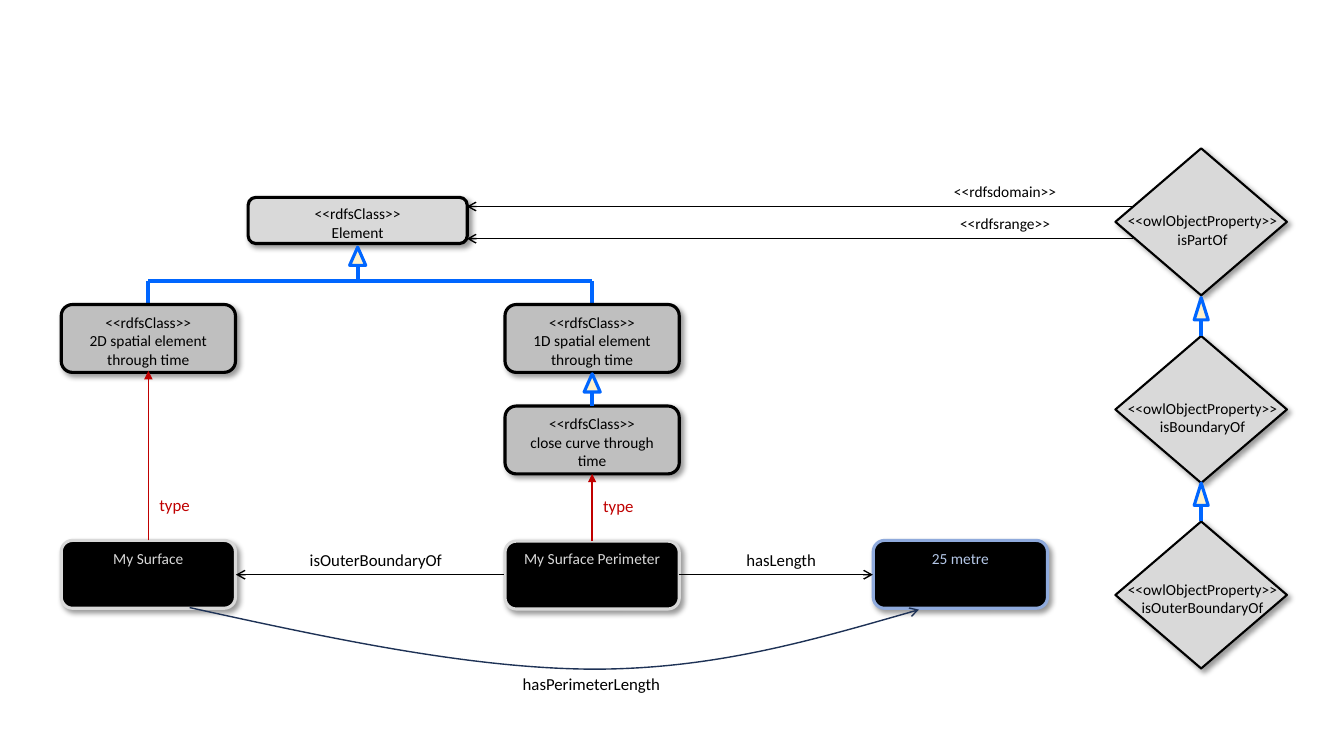
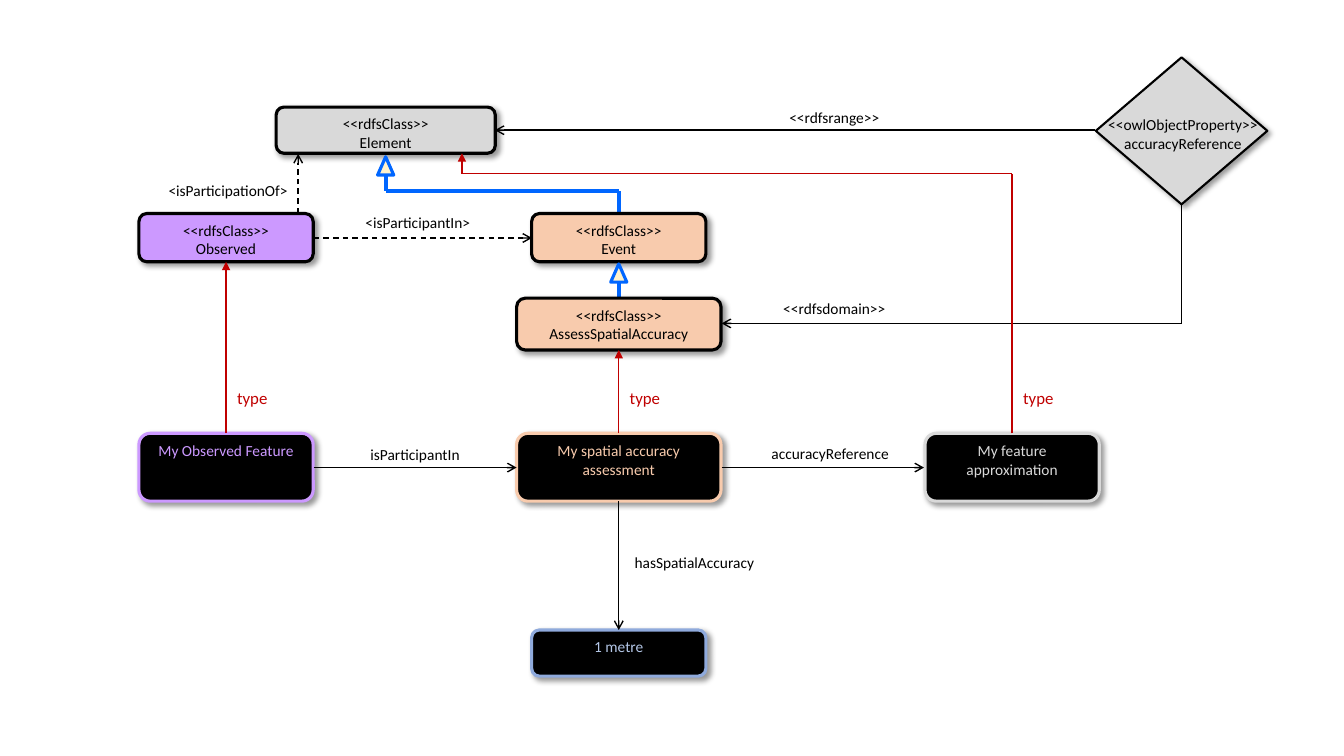
from lxml.etree import SubElement
from pptx import Presentation
from pptx.dml.color import RGBColor
from pptx.enum.dml import MSO_LINE
from pptx.enum.shapes import MSO_CONNECTOR, MSO_SHAPE as Shape
from pptx.enum.text import MSO_ANCHOR as Anchor, MSO_AUTO_SIZE as AutoSize, PP_ALIGN as Align
from pptx.oxml.ns import qn
from pptx.util import Pt

BLACK, LIGHT, MIDDLE = "000000", "D9D9D9", "BFBFBF"
BLUE, CREAM, RED, NAVY = "0066FF", "FFF2CC", "C00000", "1E3256"
PURPLE, PEACH, VALUE_LINE, VALUE_TEXT = "CC99FF", "F8CBAD", "8FAADC", "B4C7E7"
CLASS, PROPERTY = "<<rdfsClass>>", "<<owlObjectProperty>>"


def rgb(color):
    return RGBColor.from_string(color)


class Diagram:
    """Style and current slide; x is always the centre of an element."""
    font_format = {"name": "Calibri", "bold": False}
    node_width = 124.5
    node_height = 48.5

    def __init__(self):
        self.presentation = Presentation()
        self.presentation.slide_width, self.presentation.slide_height = Pt(960), Pt(540)

    def new_slide(self):
        self.slide = self.presentation.slides.add_slide(self.presentation.slide_layouts[6])
        self.shapes = self.slide.shapes

    def add_lines(self, frame, lines, color, size, align=Align.CENTER):
        for number, line in enumerate(lines):
            paragraph = frame.add_paragraph() if number else frame.paragraphs[0]
            paragraph.alignment = align
            run = paragraph.add_run()
            run.text = line
            for name, value in {**self.font_format, "size": Pt(size)}.items():
                setattr(run.font, name, value)
            run.font.color.rgb = rgb(color)

    def outline(self, shape, color, width, arrow=None, dash=None):
        shape.line.color.rgb = rgb(color)
        shape.line.width = Pt(width)
        if dash:
            shape.line.dash_style = dash
        if arrow:
            line = shape._element.spPr.find(qn("a:ln"))
            SubElement(line, qn("a:tailEnd"), type=arrow)

    def figure(self, kind, x, top, width, height, fill, line, weight, shadow=True, shapes=None):
        shape = (shapes or self.shapes).add_shape(
            kind, Pt(x - width / 2), Pt(top), Pt(width), Pt(height))
        shape.fill.solid()
        shape.fill.fore_color.rgb = rgb(fill)
        self.outline(shape, line, weight)
        shape.shadow.inherit = False
        if shadow:
            effects = shape._element.spPr.find(qn("a:effectLst"))
            outer = SubElement(effects, qn("a:outerShdw"), blurRad=str(Pt(4)), dist=str(Pt(3)),
                               dir="2700000", algn="tl", rotWithShape="0")
            tint = SubElement(outer, qn("a:srgbClr"), val=BLACK)
            SubElement(tint, qn("a:alpha"), val="40000")
        return shape

    def node(self, x, top, lines, fill=BLACK, line=BLACK, color=BLACK, width=None, height=None):
        shape = self.figure(Shape.ROUNDED_RECTANGLE, x, top, width or self.node_width,
                            height or self.node_height, fill, line, 2.25)
        shape.text_frame.word_wrap = True
        shape.text_frame.vertical_anchor = Anchor.TOP
        self.add_lines(shape.text_frame, lines, color, 11)

    def instance(self, x, top, text, line, color=None, **extent):
        self.node(x, top, [text], line=line, color=color or line, **extent)

    def label(self, x, top, width, *lines, size=11, color=BLACK, align=Align.CENTER, shapes=None):
        height = 7.2 + 1.22 * size * len(lines)
        box = (shapes or self.shapes).add_textbox(
            Pt(x - width / 2), Pt(top), Pt(width), Pt(round(height, 1)))
        box.text_frame.word_wrap = False
        box.text_frame.auto_size = AutoSize.SHAPE_TO_FIT_TEXT
        self.add_lines(box.text_frame, lines, color, size, align)

    def link(self, x1, y1, x2, y2, color=BLACK, width=1, arrow=None, dash=None):
        connector = self.shapes.add_connector(
            MSO_CONNECTOR.STRAIGHT, Pt(x1), Pt(y1), Pt(x2), Pt(y2))
        self.outline(connector, color, width, arrow, dash)
        SubElement(connector._element.spPr, qn("a:effectLst"))

    def type_link(self, x, bottom, top, arrow="triangle"):
        self.link(x, bottom, x, top, RED, arrow=arrow)
        self.label(x + 19, bottom - 36, 36.5, "type", size=12, color=RED, align=Align.LEFT)

    def generalization(self, x, tip, bottom, width=11.5, height=13):
        self.figure(Shape.ISOSCELES_TRIANGLE, x, tip, width, height, CREAM, BLUE, 2.25, False)
        self.link(x, tip + height, x, bottom, BLUE, 3)

    def element_tree(self, x, top, children):
        """The Element class and the blue tree down to its subclasses."""
        self.node(x, top, [CLASS, "Element"], LIGHT, width=156.5, height=33)
        bar = top + 60
        self.generalization(x, top + 35.5, bar)
        self.link(max(x, *children), bar, min(x, *children), bar, BLUE, 3)
        for child in children:
            self.link(child, bar, child, top + 76.5, BLUE, 3)

    def diamond(self, x, top, name, text_offset):
        group = self.shapes.add_group_shape()
        self.figure(Shape.DIAMOND, x, top, 122.5, 105, LIGHT, BLACK, 1.5, shapes=group.shapes)
        self.label(x + 1, top + text_offset, 122.5, PROPERTY, name, shapes=group.shapes)

    def curve(self, points, color):
        """Bezier through a start point and triples of control, control, end."""
        corners = [(Pt(x), Pt(y)) for x, y in points]
        builder = self.shapes.build_freeform(*corners[0])
        builder.add_line_segments(corners[1:], close=False)
        shape = builder.convert_to_shape()
        shape.fill.background()
        shape.shadow.inherit = False
        self.outline(shape, color, 1, "arrow")
        route = next(shape._element.iter(qn("a:path")))
        segments = route.findall(qn("a:lnTo"))
        for start in range(0, len(segments), 3):
            bezier = SubElement(route, qn("a:cubicBezTo"))
            for segment in segments[start:start + 3]:
                bezier.append(segment[0])
                route.remove(segment)


def build_perimeter(diagram):
    diagram.new_slide()
    surface, perimeter, length, relation = 106, 423, 686, 858

    # Classes
    diagram.element_tree(255.5, 141, [surface, perimeter])
    for x, top, name in ((surface, 217.5, "2D spatial element through time"),
                         (perimeter, 217.5, "1D spatial element through time"),
                         (perimeter, 290, "close curve through time")):
        diagram.node(x, top, [CLASS, name], MIDDLE)
    diagram.generalization(perimeter, 267, 290)

    # Properties
    for top, name, offset in ((106, "isPartOf", 41.5), (240, "isBoundaryOf", 41.5),
                              (372.5, "isOuterBoundaryOf", 38)):
        diagram.diamond(relation, top, name, offset)
    for tip, bottom in ((212.5, 240), (345, 372.5)):
        diagram.generalization(relation, tip, bottom, 10, 16)
    for y, name, width in ((147.5, "<<rdfsdomain>>", 88.5), (170.5, "<<rdfsrange>>", 80)):
        diagram.link(809.5, y, 333.5, y, arrow="arrow")
        diagram.label(718, y - 21, width, name)

    # Instances
    diagram.instance(surface, 386, "My Surface", LIGHT)
    diagram.instance(perimeter, 386.5, "My Surface Perimeter", LIGHT)
    diagram.instance(length, 386, "25 metre", VALUE_LINE, VALUE_TEXT)
    diagram.type_link(surface, 386, 265)
    diagram.type_link(perimeter, 386.5, 338.5)
    diagram.link(360, 410.5, 168.5, 410.5, arrow="arrow")
    diagram.link(485, 410.5, 623.5, 410.5, arrow="arrow")
    diagram.curve([(135.5, 434), (235.5, 456), (336, 477.5), (423.5, 478),
                   (510, 478), (583, 456.5), (656.5, 435.5)], NAVY)
    for x, top, width, name in ((268.5, 389, 109, "isOuterBoundaryOf"),
                                (558, 389, 65, "hasLength"),
                                (422.5, 478, 114, "hasPerimeterLength")):
        diagram.label(x, top, width, name, size=12)


def build_accuracy(diagram):
    diagram.new_slide()
    observed, event, feature, relation = 161.5, 442, 723, 844
    row = 309.5

    # Classes
    diagram.element_tree(275.5, 76.5, [event])
    diagram.node(observed, 152.5, [CLASS, "Observed"], PURPLE, height=34.5)
    diagram.node(event, 152.5, [CLASS, "Event"], PEACH, height=34.5)
    diagram.generalization(event, 188.5, 213)
    diagram.node(event, 213, [CLASS, "AssessSpatialAccuracy"], PEACH, width=146, height=37)
    diagram.link(213, 152.5, 213, 110, arrow="arrow", dash=MSO_LINE.DASH)
    diagram.link(224, 170, 380, 170, arrow="arrow", dash=MSO_LINE.DASH)

    # Property
    diagram.diamond(relation, 41, "accuracyReference", 38)
    diagram.link(782.5, 93, 353.5, 93, arrow="arrow")
    diagram.link(relation, 145.5, relation, 231)
    diagram.link(relation, 231, 515.5, 231, arrow="arrow")

    # Instances
    diagram.instance(observed, row, "My Observed Feature", PURPLE)
    diagram.instance(event, row, "My spatial accuracy assessment", PEACH, width=146)
    diagram.instance(feature, row, "My feature approximation", LIGHT)
    diagram.instance(event, 450, "1 metre", VALUE_LINE, VALUE_TEXT, height=33)
    diagram.type_link(observed, row, 187)
    diagram.type_link(event, row, 250)
    diagram.type_link(feature, row, 124.5, arrow=None)
    diagram.link(feature, 124, 330, 124, RED)
    diagram.link(330, 124, 330, 109.5, RED, arrow="triangle")
    diagram.link(224, 334, 369, 334, arrow="arrow")
    diagram.link(515.5, 334, 660, 334, arrow="arrow")
    diagram.link(event, 358, event, 450, arrow="arrow")

    # Link names
    for x, top, width, name in ((163, 125.5, 100, "<isParticipationOf>"),
                                (298.5, 149, 90, "<isParticipantIn>"),
                                (596, 73.5, 80, "<<rdfsrange>>"),
                                (596, 210, 88.5, "<<rdfsdomain>>"),
                                (296.5, 314.5, 78.5, "isParticipantIn"),
                                (593, 313.5, 100, "accuracyReference"),
                                (496, 391.5, 101, "hasSpatialAccuracy")):
        diagram.label(x, top, width, name)


def main():
    diagram = Diagram()
    build_perimeter(diagram)
    build_accuracy(diagram)
    diagram.presentation.save("out.pptx")


if __name__ == "__main__":
    main()
